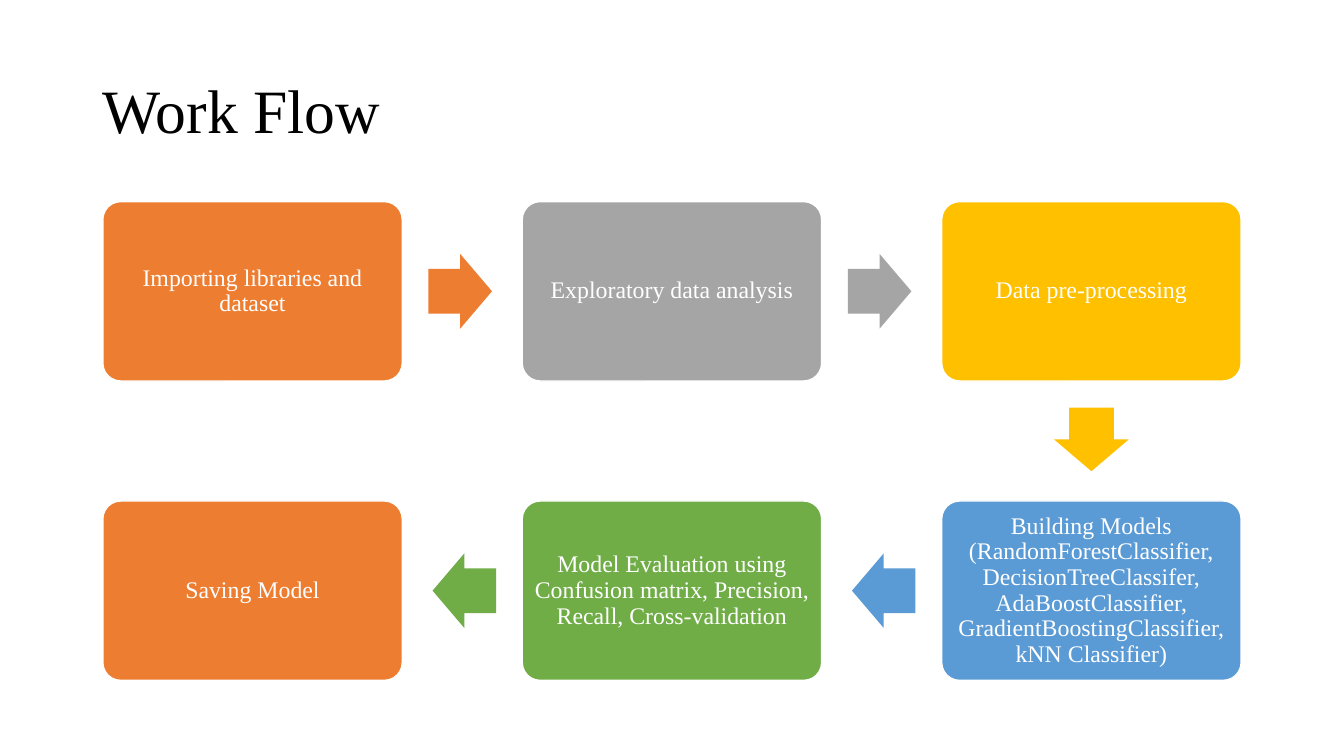
from pptx import Presentation
from pptx import util as u
from pptx.dml.color import RGBColor
from pptx.enum import shapes, text

ORANGE = RGBColor(0xED, 0x7D, 0x31)
GREY = RGBColor(0xA5, 0xA5, 0xA5)
GOLD = RGBColor(0xFF, 0xC0, 0x00)
BLUE = RGBColor(0x5B, 0x9B, 0xD5)
GREEN = RGBColor(0x70, 0xAD, 0x47)
WHITE = RGBColor(0xFF, 0xFF, 0xFF)
BLACK = RGBColor(0x00, 0x00, 0x00)

TITLE = "Work Flow"
STEPS = [
    ("Importing libraries and dataset", ORANGE, 0, 0, "right"),
    ("Exploratory data analysis", GREY, 1, 0, "right"),
    ("Data pre-processing", GOLD, 2, 0, "down"),
    ("Building Models (RandomForestClassifier, DecisionTreeClassifer, "
     "AdaBoostClassifier, GradientBoostingClassifier, kNN Classifier)",
     BLUE, 2, 1, "left"),
    ("Model Evaluation using Confusion matrix, Precision, Recall, "
     "Cross-validation", GREEN, 1, 1, "left"),
    ("Saving Model", ORANGE, 0, 1, None),
]
ARROWS = {"right": (323, 52, 0), "down": (117, 199, 90), "left": (-89, 52, 180)}

SCALE = 9144
SLIDE = (1333, 750)
TITLE_AREA = (92, 40, 1150, 145)
GRID_LEFT, GRID_TOP = 102, 200
COLUMN_STEP, ROW_STEP = 416, 297
BOX_SIZE = (297, 178)
ARROW_SIZE = (63, 74)


def px(*lengths):
    return [u.Emu(length * SCALE) for length in lengths]


def apply(target, values):
    for name, value in values.items():
        setattr(target, name, value)


def write(shape, words, size, color, inset, align):
    frame = shape.text_frame
    margin = u.Emu(inset * SCALE)
    apply(frame, {"word_wrap": True, "vertical_anchor": text.MSO_ANCHOR.MIDDLE,
                  "margin_left": margin, "margin_right": margin,
                  "margin_top": margin, "margin_bottom": margin})
    para = frame.paragraphs[0]
    apply(para, {"alignment": align, "line_spacing": 0.9})
    span = para.add_run()
    span.text = words
    apply(span.font, {"name": "Times New Roman", "size": u.Pt(size)})
    span.font.color.rgb = color


def add_filled(page, kind, area, color, adjustments):
    shape = page.shapes.add_shape(kind, *px(*area))
    shape.shadow.inherit = False
    shape.fill.solid()
    shape.fill.fore_color.rgb = color
    for index, value in enumerate(adjustments):
        shape.adjustments[index] = value
    return shape


def add_step(page, words, color, column, row, direction):
    left = GRID_LEFT + column * COLUMN_STEP
    top = GRID_TOP + row * ROW_STEP
    box = add_filled(page, shapes.MSO_SHAPE.ROUNDED_RECTANGLE,
                     (left, top, *BOX_SIZE), color, [0.1])
    box.line.color.rgb = WHITE
    box.line.width = u.Pt(1)
    write(box, words, 17, WHITE, 7, text.PP_ALIGN.CENTER)
    if direction:
        across, down, rotation = ARROWS[direction]
        arrow = add_filled(page, shapes.MSO_SHAPE.RIGHT_ARROW,
                           (left + across, top + down, *ARROW_SIZE),
                           color, [0.6, 0.5])
        arrow.line.fill.background()
        arrow.rotation = rotation


def main():
    deck = Presentation()
    deck.slide_width, deck.slide_height = px(*SLIDE)
    page = deck.slides.add_slide(deck.slide_layouts[6])
    title = page.shapes.add_textbox(*px(*TITLE_AREA))
    write(title, TITLE, 44, BLACK, 10, text.PP_ALIGN.LEFT)
    for step in STEPS:
        add_step(page, *step)
    deck.save("out.pptx")


if __name__ == "__main__":
    main()
